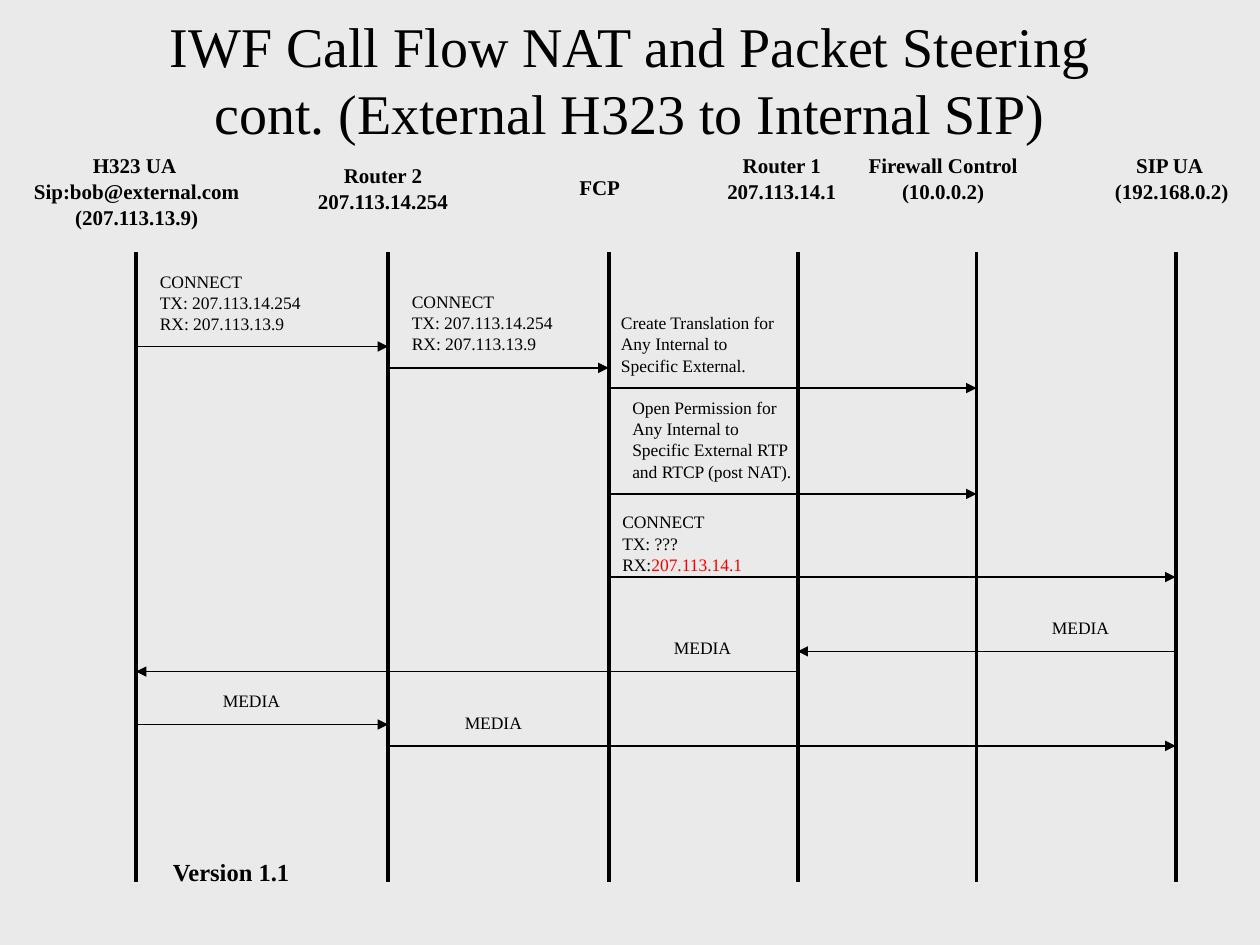
from dataclasses import dataclass

from lxml.etree import SubElement
from pptx import Presentation
from pptx.dml.color import RGBColor
from pptx.enum.shapes import MSO_CONNECTOR
from pptx.enum.text import MSO_ANCHOR, MSO_AUTO_SIZE, PP_ALIGN
from pptx.oxml.ns import qn
from pptx.util import Inches, Pt


@dataclass(frozen=True)
class Theme:
    """Colours, font, type sizes and line weights of the slide."""
    background: str = "EAEAEA"
    ink: str = "000000"
    accent: str = "FF0000"
    font: str = "Times New Roman"
    title: float = 32
    version: float = 14
    header: float = 12
    message: float = 10
    lifeline: float = 2.24
    arrow: float = 0.74


THEME = Theme()

TITLE = "IWF Call Flow NAT and Packet Steering\vcont. (External H323 to Internal SIP)"
VERSION = "Version 1.1"

# party: (lifeline x, header left, header top, header width, header lines)
PARTIES = {
    "h323": (1.08, 0.17, 1.25, 1.83,
             ["H323 UA ", "Sip:bob@external.com", "(207.113.13.9)"]),
    "router2": (3.08, 2.42, 1.33, 1.24, ["Router 2", "207.113.14.254"]),
    "fcp": (4.83, 4.46, 1.42, 0.6, ["FCP"]),
    "router1": (6.33, 5.67, 1.25, 1.07, ["Router 1", "207.113.14.1"]),
    "firewall": (7.75, 6.79, 1.25, 1.39, ["Firewall Control", "(10.0.0.2)"]),
    "sip": (9.33, 8.75, 1.25, 1.1, ["SIP UA ", "(192.168.0.2)"]),
}
LIFELINE_TOP, LIFELINE_BOTTOM = 2, 7

CONNECT = ["CONNECT", "TX: 207.113.14.254", "RX: 207.113.13.9"]
STEERED = ["CONNECT", "TX: ???", [("RX:", THEME.ink), ("207.113.14.1", THEME.accent)]]
TRANSLATION = ["Create Translation for ", "Any Internal to ", "Specific External."]
PERMISSION = ["Open Permission for ", "Any Internal to ",
              "Specific External RTP ", "and RTCP (post NAT)."]
MEDIA = ["MEDIA"]

# sender, receiver, arrow y, label left, label top, label width, wrap, label lines
MESSAGES = [
    ("h323", "router2", 2.75, 1.17, 2.17, 1.32, False, CONNECT),
    ("router2", "fcp", 2.92, 3.17, 2.33, 1.32, False, CONNECT),
    ("fcp", "firewall", 3.08, 4.83, 2.5, 1.5, True, TRANSLATION),
    ("fcp", "firewall", 3.92, 4.92, 3.17, 1.5, True, PERMISSION),
    ("fcp", "sip", 4.58, 4.84, 4.08, 1.15, False, STEERED),
    ("sip", "router1", 5.17, 8.25, 4.92, 0.65, False, MEDIA),
    ("router1", "h323", 5.33, 5.25, 5.08, 0.65, False, MEDIA),
    ("h323", "router2", 5.75, 1.67, 5.5, 0.65, False, MEDIA),
    ("router2", "sip", 5.92, 3.59, 5.67, 0.65, False, MEDIA),
]


def add_text(slide, lines, left, top, width, height, *, size, bold=False,
             align=PP_ALIGN.LEFT, anchor=MSO_ANCHOR.TOP, wrap=True, grow=False,
             spacing=None, before=0):
    """Add a text box; a line is a string or a list of (text, colour) parts."""
    box = slide.shapes.add_textbox(Inches(left), Inches(top), Inches(width), Inches(height))
    frame = box.text_frame
    frame.word_wrap = wrap
    frame.vertical_anchor = anchor
    frame.auto_size = MSO_AUTO_SIZE.SHAPE_TO_FIT_TEXT if grow else MSO_AUTO_SIZE.NONE
    for number, line in enumerate(lines):
        paragraph = frame.paragraphs[0] if number == 0 else frame.add_paragraph()
        paragraph.alignment = align
        paragraph.space_before = Pt(before)
        if spacing:
            paragraph.line_spacing = spacing
        parts = [(line, THEME.ink)] if isinstance(line, str) else line
        for text, colour in parts:
            for index, piece in enumerate(text.split("\v")):
                if index:
                    paragraph.add_line_break()
                run = paragraph.add_run()
                run.text = piece
                run.font.name = THEME.font
                run.font.size = Pt(size)
                run.font.bold = bold
                run.font.color.rgb = RGBColor.from_string(colour)


def add_line(slide, start, end, weight, arrow=False):
    """Draw a straight line, with an arrowhead at its end if asked."""
    line = slide.shapes.add_connector(
        MSO_CONNECTOR.STRAIGHT, *(Inches(value) for value in (*start, *end)))
    line.line.color.rgb = RGBColor.from_string(THEME.ink)
    line.line.width = Pt(weight)
    properties = line._element.spPr
    if arrow:
        SubElement(properties.find(qn("a:ln")), qn("a:tailEnd"), type="triangle")
    SubElement(properties, qn("a:effectLst"))


def add_party(slide, x, left, top, width, lines):
    """Draw a lifeline and the header above it."""
    add_line(slide, (x, LIFELINE_TOP), (x, LIFELINE_BOTTOM), THEME.lifeline)
    add_text(slide, lines, left, top, width, 0.2 * len(lines), size=THEME.header,
             bold=True, align=PP_ALIGN.CENTER, wrap=False, grow=True,
             spacing=0.5, before=7.5)


def add_message(slide, sender, receiver, y, left, top, width, wrap, lines):
    """Draw an arrow between two lifelines and its label."""
    add_line(slide, (PARTIES[sender][0], y), (PARTIES[receiver][0], y),
             THEME.arrow, arrow=True)
    add_text(slide, lines, left, top, width, 0.02 + 0.17 * len(lines),
             size=THEME.message, wrap=wrap, grow=True, spacing=0.5, before=6.2)


def build():
    """Build the call flow slide and save it."""
    deck = Presentation()
    deck.slide_width, deck.slide_height = Inches(10), Inches(7.5)
    slide = deck.slides.add_slide(deck.slide_layouts[6])
    fill = slide.background.fill
    fill.solid()
    fill.fore_color.rgb = RGBColor.from_string(THEME.background)
    add_text(slide, [TITLE], 0, 0, 10, 1.25, size=THEME.title,
             align=PP_ALIGN.CENTER, anchor=MSO_ANCHOR.MIDDLE)
    for party in PARTIES.values():
        add_party(slide, *party)
    for message in MESSAGES:
        add_message(slide, *message)
    add_text(slide, [VERSION], 0.25, 6.75, 3.17, 0.5, size=THEME.version,
             bold=True, align=PP_ALIGN.CENTER, before=8.8)
    deck.save("out.pptx")


build()
